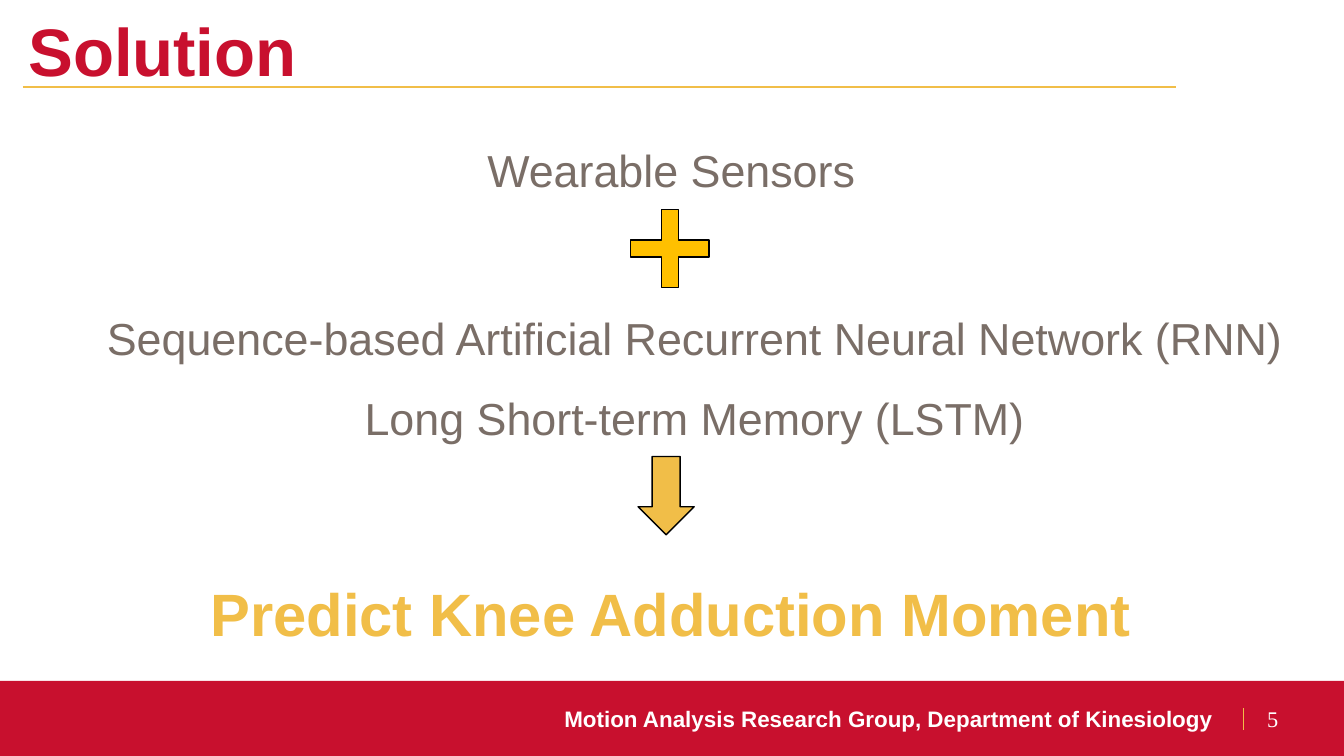
from lxml import etree
from pptx import Presentation
from pptx import util as u
from pptx.dml import color
from pptx.enum import shapes, text
from pptx.oxml import ns

RED, GOLD, AMBER, GREY = "C8102E", "F1BE48", "FFC000", "7A6E67"
WHITE, BLACK = "FFFFFF", "000000"
LEFT, CENTER, RIGHT = text.PP_ALIGN.LEFT, text.PP_ALIGN.CENTER, text.PP_ALIGN.RIGHT


def rgb(value):
    return color.RGBColor.from_string(value)


class SlideBuilder:
    """Holds the text style and the slide being built; lengths are in cm."""

    font = "Arial"

    def __init__(self, slide):
        self.slide = slide

    def place(self, shape, box):
        shape.left, shape.top, shape.width, shape.height = map(u.Cm, box)

    def set_lines(self, shape, lines, size, fill, bold=False, align=LEFT, spacing=1.0,
                  before=0, anchor=text.MSO_ANCHOR.TOP, font=None):
        frame = shape.text_frame
        frame.word_wrap = True
        frame.auto_size = text.MSO_AUTO_SIZE.NONE
        frame.vertical_anchor = anchor
        for index, line in enumerate(lines):
            paragraph = frame.add_paragraph() if index else frame.paragraphs[0]
            paragraph.alignment = align
            paragraph.line_spacing = spacing
            paragraph.space_before = u.Pt(before)
            run = paragraph.add_run()
            run.text = line
            run.font.name = font or self.font
            run.font.size = u.Pt(size)
            run.font.bold = bold
            run.font.color.rgb = rgb(fill)

    def title(self, box, line, size, fill):
        shape = self.slide.shapes.title
        self.place(shape, box)
        self.set_lines(shape, [line], size, fill, bold=True)

    def body(self, box, lines, size, fill):
        """Fill the body placeholder with centred lines and no bullets."""
        shape = self.slide.placeholders[1]
        self.place(shape, box)
        self.set_lines(shape, lines, size, fill, align=CENTER, spacing=1.5)
        for paragraph in shape.text_frame.paragraphs:
            properties = paragraph._p.get_or_add_pPr()
            properties.set("marL", "0")
            properties.set("indent", "0")
            etree.SubElement(properties, ns.qn("a:buNone"))

    def label(self, box, line, size, fill, **style):
        shape = self.slide.shapes.add_textbox(*map(u.Cm, box))
        self.set_lines(shape, [line], size, fill, **style)

    def figure(self, kind, box, fill, outline=None, adjustment=None):
        shape = self.slide.shapes.add_shape(kind, *map(u.Cm, box))
        shape.shadow.inherit = False
        shape.fill.solid()
        shape.fill.fore_color.rgb = rgb(fill)
        if outline:
            shape.line.color.rgb = rgb(outline)
            shape.line.width = u.Pt(0.75)
        else:
            shape.line.fill.background()
        if adjustment is not None:
            shape.adjustments[0] = adjustment

    def rule(self, start, end, width):
        line = self.slide.shapes.add_connector(
            shapes.MSO_CONNECTOR.STRAIGHT, *map(u.Cm, start + end))
        line.line.color.rgb = rgb(GOLD)
        line.line.width = u.Pt(width)
        etree.SubElement(line._element.spPr, ns.qn("a:effectLst"))


def main():
    presentation = Presentation()
    presentation.slide_width = u.Cm(25.4)
    presentation.slide_height = u.Cm(14.29)
    slide = presentation.slides.add_slide(presentation.slide_layouts[1])
    builder = SlideBuilder(slide)

    # Footer
    builder.figure(shapes.MSO_SHAPE.RECTANGLE, (0, 12.87, 25.4, 1.42), RED)
    builder.label((8.4, 13.2, 14.78, 0.78),
                  "Motion Analysis Research Group, Department of Kinesiology",
                  12, WHITE, bold=True, align=RIGHT, before=2.4)
    builder.rule((23.5, 13.38), (23.5, 13.8), 0.75)
    builder.label((23.7, 13.2, 1.47, 0.77), "5", 12, WHITE,
                  anchor=text.MSO_ANCHOR.MIDDLE, font="Times New Roman")

    # Heading
    builder.title((0.28, 0.05, 22.89, 1.8), "Solution", 36, RED)
    builder.rule((0.43, 1.65), (22.23, 1.65), 1)

    # Sensors plus network lead to the prediction
    builder.label((0.2, 2.06, 24.97, 1.62), "Wearable Sensors", 24, GREY,
                  align=CENTER, spacing=1.5)
    builder.figure(shapes.MSO_SHAPE.CROSS, (11.92, 3.96, 1.48, 1.48), AMBER,
                   BLACK, adjustment=0.39)
    builder.body((0.64, 5.23, 24.97, 3.18),
                 ["Sequence-based Artificial Recurrent Neural Network (RNN)",
                  "Long Short-term Memory (LSTM)"], 24, GREY)
    builder.figure(shapes.MSO_SHAPE.DOWN_ARROW, (12.06, 8.63, 1.06, 1.48), GOLD, BLACK)
    builder.label((0.2, 10.11, 24.97, 2.1), "Predict Knee Adduction Moment", 32, GOLD,
                  bold=True, align=CENTER, spacing=1.5)

    presentation.save("out.pptx")


if __name__ == "__main__":
    main()
